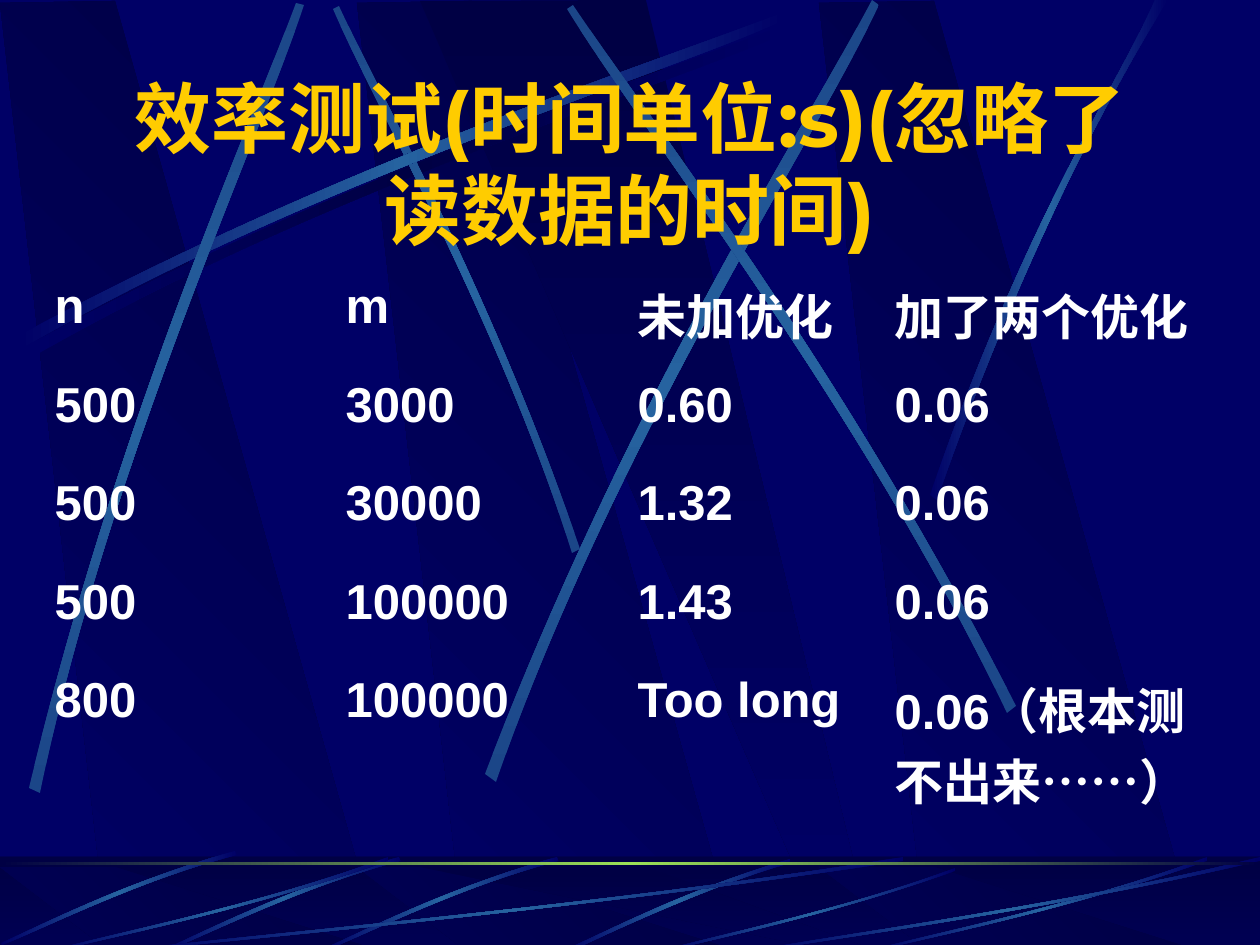
from lxml import etree
from pptx import Presentation
from pptx.dml.color import RGBColor
from pptx.enum.shapes import MSO_SHAPE
from pptx.enum.text import MSO_ANCHOR, PP_ALIGN
from pptx.oxml.ns import qn

PX = 914400 / 126
WIDTH, HEIGHT = 1260, 945
RECTANGLE = MSO_SHAPE.RECTANGLE
MIDDLE = MSO_ANCHOR.MIDDLE
CENTER = PP_ALIGN.CENTER
NO_STYLE = "{2D5ABB26-0587-4C30-8999-92F81FD0307C}"

NAVY = RGBColor(0x00, 0x00, 0x66)
DARK = RGBColor(0x00, 0x00, 0x44)
BLUE = RGBColor(0x26, 0x63, 0xA0)
DIM_BLUE = RGBColor(0x1B, 0x46, 0x88)
GREEN = RGBColor(0x9C, 0xE1, 0x57)
GOLD = RGBColor(0xFF, 0xCC, 0x00)
WHITE = RGBColor(0xFF, 0xFF, 0xFF)

SHADE = (DARK, NAVY)
SHADOW = (NAVY, DARK, NAVY)
FADING = (NAVY, BLUE, NAVY)
STEADY = (DIM_BLUE, BLUE, DIM_BLUE)
GLOW = (DARK, GREEN, DARK)

TITLE = "效率测试(时间单位:s)(忽略了读数据的时间)"
ROWS = [
    ("n", "m", "未加优化", "加了两个优化"),
    ("500", "3000", "0.60", "0.06"),
    ("500", "30000", "1.32", "0.06"),
    ("500", "100000", "1.43", "0.06"),
    ("800", "100000", "Too long", "0.06（根本测不出来……）"),
]
COLUMN_WIDTHS = (291, 292, 257, 325)
ROW_HEIGHTS = (99, 98, 99, 98, 189)

PANEL_LEFTS = (357, 0, 819)
WALL_PANEL = [(108, 945), (381, 948), (115, 1), (0, 3)]
WALL_WEDGE = [(420, 1), (829, 946), (874, 946), (646, 0)]
FLOOR_PANEL = [(108, 950), (381, 951), (115, 867), (0, 867)]
FLOOR_WEDGE = [(420, 867), (829, 950), (874, 950), (646, 867)]

SWEEP = [(18, 336), (350, 158), (653, 64), (781, 13),
         (785, 20), (658, 77), (312, 180), (21, 349)]
WALL_STRANDS = [
    (SWEEP, (8, 10), SHADOW, 0),
    ([(580, 549), (493, 295), (381, 97), (339, 6),
      (333, 9), (372, 100), (501, 325), (572, 553)], (0, 0), STEADY, 90),
    (SWEEP, (0, 0), FADING, 0),
    ([(29, 788), (117, 421), (248, 132), (296, 3),
      (304, 5), (261, 136), (108, 464), (40, 793)], (0, 0), STEADY, 90),
    ([(485, 774), (627, 403), (804, 129), (872, 0),
      (879, 5), (818, 136), (612, 447), (496, 782)], (0, 0), STEADY, 90),
    ([(1016, 706), (844, 369), (650, 120), (573, 5),
      (567, 9), (639, 127), (863, 410), (1007, 713)], (0, 0), STEADY, 90),
    ([(930, 495), (1026, 218), (1119, 83), (1155, 0),
      (1168, 0), (1053, 183), (969, 406), (937, 500)], (0, 0), FADING, 0),
]
FLOOR_CURVE = [(557, 857), (447, 888), (362, 932), (323, 949),
               (324, 951), (363, 936), (460, 886), (559, 861)]
FLOOR_STRANDS = [
    ([(790, 859), (677, 893), (601, 935), (564, 950),
      (571, 951), (617, 929), (719, 882), (791, 863)], (0, 0), FADING, 0),
    (FLOOR_CURVE, (0, 0), FADING, 0),
    (FLOOR_CURVE, (-158, 0), FADING, 0),
    (FLOOR_CURVE, (-322, -6), FADING, 0),
]
FAN = [(1, 0.04), (0.57, 0.57), (0.17, 0.85), (0.01, 1),
       (0, 0.99), (0.17, 0.82), (0.62, 0.51), (1, 0)]
FAN_BOTTOM = 951
FAN_BOXES = [(126, 857, 777), (53, 857, 335), (664, 868, 291),
             (872, 857, 335), (756, 857, 504)]


def emu(pixels):
    return round(pixels * PX)


def paint(shape, colors, angle):
    shape.shadow.inherit = False
    shape.line.fill.background()
    shape.fill.gradient()
    shape.fill.gradient_angle = -angle % 360
    stops = shape._element.spPr.find(".//" + qn("a:gsLst"))
    for stop in list(stops):
        stops.remove(stop)
    for index, color in enumerate(colors):
        position = str(100000 * index // (len(colors) - 1))
        stop = etree.SubElement(stops, qn("a:gs"), pos=position)
        etree.SubElement(stop, qn("a:srgbClr"), val=str(color))


def add_rectangle(slide, top, height):
    return slide.shapes.add_shape(RECTANGLE, 0, emu(top), emu(WIDTH), emu(height))


def add_outline(slide, points, offset, colors, angle):
    moved = [(x + offset[0], y + offset[1]) for x, y in points]
    builder = slide.shapes.build_freeform(*moved[0], scale=PX)
    builder.add_line_segments(moved[1:], close=True)
    shape = builder.convert_to_shape()
    paint(shape, colors, angle)
    return shape


def add_strand(slide, controls, offset, colors, angle):
    shape = add_outline(slide, controls, offset, colors, angle)
    lines = shape._element.spPr.findall(".//" + qn("a:lnTo"))
    for first in (0, 4):
        curve = etree.Element(qn("a:cubicBezTo"))
        lines[first].addprevious(curve)
        for line in lines[first:first + 3]:
            curve.append(line[0])
            line.getparent().remove(line)


def add_panels(slide, panel, wedge):
    for left in PANEL_LEFTS:
        add_outline(slide, panel, (left, 0), SHADE, 135)
    add_outline(slide, wedge, (0, 0), SHADE, 90)


def add_backdrop(slide):
    add_panels(slide, WALL_PANEL, WALL_WEDGE)
    for strand in WALL_STRANDS:
        add_strand(slide, *strand)

    paint(add_rectangle(slide, 857, 94), SHADE, 90)
    add_panels(slide, FLOOR_PANEL, FLOOR_WEDGE)
    veil = add_rectangle(slide, 856, 94)
    veil.shadow.inherit = False
    veil.line.fill.background()
    veil.fill.solid()
    veil.fill.fore_color.rgb = DARK
    color = veil._element.spPr.find(".//" + qn("a:srgbClr"))
    etree.SubElement(color, qn("a:alpha"), val="50000")

    for strand in FLOOR_STRANDS:
        add_strand(slide, *strand)
    for left, top, width in FAN_BOXES:
        controls = [(x * width, y * (FAN_BOTTOM - top)) for x, y in FAN]
        add_strand(slide, controls, (left, top), FADING, 0)
    paint(add_rectangle(slide, 862, 3), GLOW, 0)


def style(paragraph, text, size, name, color):
    paragraph.text = text
    font = paragraph.font
    font.size, font.name, font.bold = size * 12700, name, True
    font.color.rgb = color


def add_title(slide):
    frame = slide.shapes.add_textbox(emu(94), emu(64), emu(1072), emu(198)).text_frame
    frame.word_wrap = True
    frame.vertical_anchor = MIDDLE
    paragraph = frame.paragraphs[0]
    style(paragraph, TITLE, 44, "Montserrat", GOLD)
    paragraph.alignment = CENTER


def add_results(slide):
    table = slide.shapes.add_table(
        len(ROWS), len(COLUMN_WIDTHS), emu(42), emu(273),
        emu(sum(COLUMN_WIDTHS)), emu(sum(ROW_HEIGHTS))).table
    table.first_row = table.horz_banding = False
    table._tbl.tblPr.find(qn("a:tableStyleId")).text = NO_STYLE
    for column, width in zip(table.columns, COLUMN_WIDTHS):
        column.width = emu(width)
    for row, height, texts in zip(table.rows, ROW_HEIGHTS, ROWS):
        row.height = emu(height)
        for cell, text in zip(row.cells, texts):
            cell.fill.background()
            paragraph = cell.text_frame.paragraphs[0]
            style(paragraph, text, 28, "Arial", WHITE)
            paragraph.space_before = 7 * 12700


def main():
    presentation = Presentation()
    presentation.slide_width, presentation.slide_height = emu(WIDTH), emu(HEIGHT)
    slide = presentation.slides.add_slide(presentation.slide_layouts[6])
    slide.background.fill.solid()
    slide.background.fill.fore_color.rgb = NAVY
    add_backdrop(slide)
    add_title(slide)
    add_results(slide)
    presentation.save("out.pptx")


if __name__ == "__main__":
    main()
